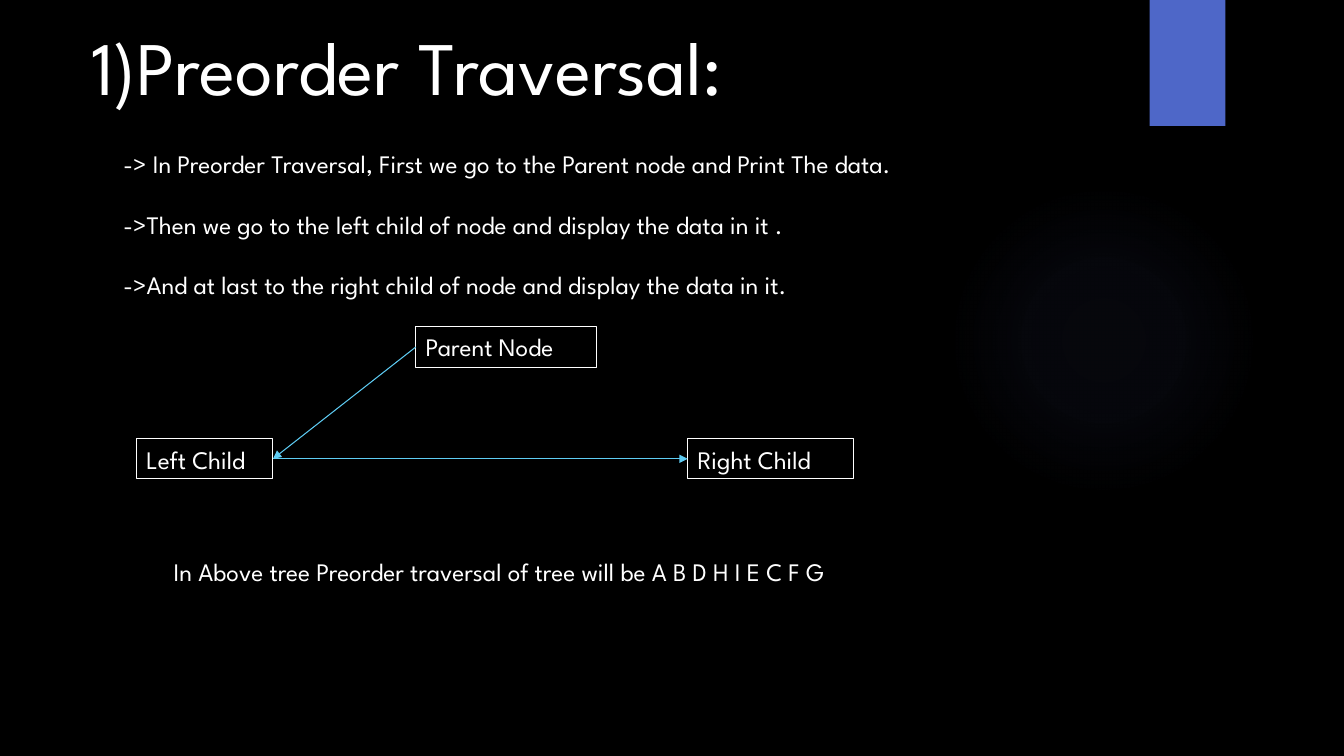
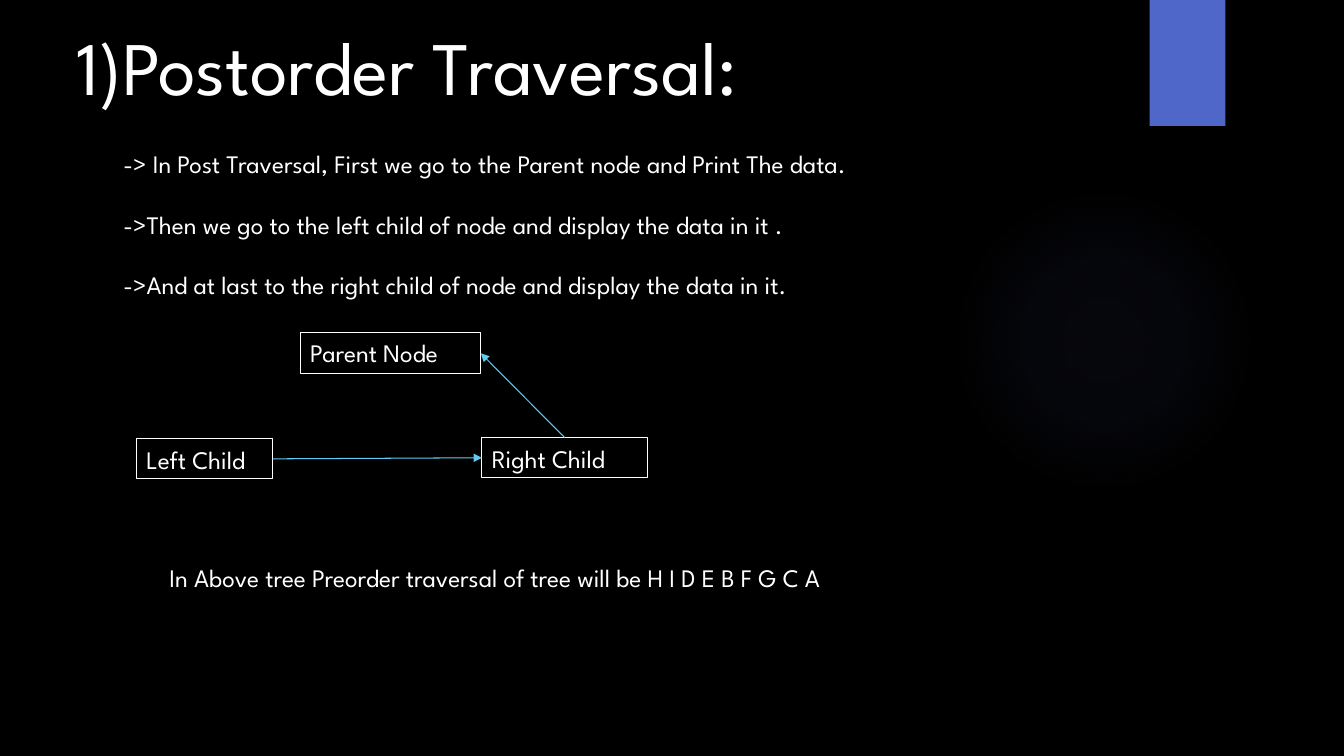
from dataclasses import dataclass
from enum import IntEnum

from lxml.etree import SubElement
from pptx import Presentation
from pptx.dml.color import RGBColor as Rgb
from pptx.enum.shapes import MSO_CONNECTOR as Conn, MSO_SHAPE as Geom
from pptx.enum.text import MSO_ANCHOR as Anchor, MSO_AUTO_SIZE as Auto, PP_ALIGN as Align
from pptx.oxml import parse_xml
from pptx.oxml.ns import nsdecls, qn
from pptx.util import Emu, Pt


@dataclass(frozen=True)
class Theme:
    font: str = "League Spartan"
    back: str = "000000"
    ink: str = "FFFFFF"
    band: str = "4E67C8"
    glow: str = "5968B0"
    arrow: str = "5ECCF3"
    head: float = 54
    body: float = 18
    gap: float = 21.6
    line: float = 0.75


@dataclass(frozen=True)
class Box:
    x: int
    y: int
    w: int
    h: int

    def emu(self) -> tuple[Emu, Emu, Emu, Emu]:
        return px(self.x), px(self.y), px(self.w), px(self.h)


class Side(IntEnum):
    """Connection sites of a rectangle."""
    TOP = 0
    LEFT = 1
    BOTTOM = 2
    RIGHT = 3


@dataclass(frozen=True)
class Node:
    name: str
    box: Box


@dataclass(frozen=True)
class Link:
    start: Node
    out: Side
    end: Node
    into: Side


@dataclass(frozen=True)
class Page:
    title: str
    first: str
    nodes: tuple[Node, ...]
    links: tuple[Link, ...]
    result: str
    spot: Box


def px(n: int) -> Emu:
    return Emu(n * 9525)


THEME = Theme()
WIDE, HIGH = 1280, 720
TITLE = Box(6, 14, 763, 97)
STEPS = Box(108, 137, 1044, 213)
BAND = Box(1095, 0, 72, 120)
GLOW = Box(903, 176, 296, 296)
FADE = ((0, 7), (36, 6), (69, 0))  # position and opacity, in percent
REST = (
    "->Then we go to the left child of node and display the data in it .",
    "->And at last to the right child of node and display the data in it.",
)


def parent(x: int, y: int) -> Node:
    return Node("Parent Node", Box(x, y, 172, 39))


def right(x: int, y: int) -> Node:
    return Node("Right Child", Box(x, y, 158, 38))


LEFT = Node("Left Child", Box(130, 418, 130, 38))
PRE_TOP, PRE_END = parent(396, 311), right(655, 418)
POST_TOP, POST_END = parent(286, 317), right(459, 417)

PAGES = (
    Page(
        "1)Preorder Traversal:",
        "-> In Preorder Traversal, First we go to the Parent node and Print The data.",
        (LEFT, PRE_TOP, PRE_END),
        (Link(PRE_TOP, Side.LEFT, LEFT, Side.RIGHT),
         Link(LEFT, Side.RIGHT, PRE_END, Side.LEFT)),
        "In Above tree Preorder traversal of tree will be A B D H I E C F G",
        Box(156, 525, 754, 38),
    ),
    Page(
        "1)Postorder Traversal:",
        "-> In Post Traversal, First we go to the Parent node and Print The data.",
        (LEFT, POST_TOP, POST_END),
        (Link(POST_END, Side.TOP, POST_TOP, Side.RIGHT),
         Link(LEFT, Side.RIGHT, POST_END, Side.LEFT)),
        "In Above tree Preorder traversal of tree will be H I D E B F G C A",
        Box(152, 531, 754, 38),
    ),
)


def style(para, size: float) -> None:
    font = para.font
    font.name, font.size = THEME.font, Pt(size)
    font.color.rgb = Rgb.from_string(THEME.ink)


def add_text(slide, box: Box, *lines: str):
    shape = slide.shapes.add_textbox(*box.emu())
    frame = shape.text_frame
    frame.word_wrap = True
    frame.text = "\n".join(lines)
    for para in frame.paragraphs:
        style(para, THEME.body)
        para.space_after = Pt(THEME.gap if len(lines) > 1 else 0)
    return shape


def add_title(slide, text: str) -> None:
    shape = slide.shapes.title
    shape.left, shape.top, shape.width, shape.height = TITLE.emu()
    frame = shape.text_frame
    frame.text = text
    frame.word_wrap, frame.auto_size = False, Auto.NONE
    frame.vertical_anchor = Anchor.MIDDLE
    para = frame.paragraphs[0]
    para.alignment = Align.CENTER
    style(para, THEME.head)


def add_node(slide, node: Node):
    shape = add_text(slide, node.box, node.name)
    shape.line.color.rgb = Rgb.from_string(THEME.ink)
    shape.line.width = Pt(THEME.line)
    return shape


def add_link(slide, link: Link, drawn: dict) -> None:
    wire = slide.shapes.add_connector(Conn.STRAIGHT, 0, 0, 0, 0)
    wire.begin_connect(drawn[link.start], link.out)
    wire.end_connect(drawn[link.end], link.into)
    wire.line.color.rgb = Rgb.from_string(THEME.arrow)
    wire.line.width = Pt(THEME.line)
    props = wire.element.spPr
    SubElement(props.find(qn("a:ln")), qn("a:tailEnd"), type="triangle")
    SubElement(props, qn("a:effectLst"))


def add_plain(slide, geom: Geom, box: Box, color: str):
    shape = slide.shapes.add_shape(geom, *box.emu())
    shape.shadow.inherit = False
    shape.fill.solid()
    shape.fill.fore_color.rgb = Rgb.from_string(color)
    shape.line.fill.background()
    return shape


def fade(shape) -> None:
    """Swap the solid fill for a round gradient that fades outwards."""
    stops = "".join(
        f'<a:gs pos="{pos * 1000}"><a:srgbClr val="{THEME.glow}">'
        f'<a:alpha val="{alpha * 1000}"/></a:srgbClr></a:gs>'
        for pos, alpha in FADE
    )
    grad = parse_xml(
        f'<a:gradFill {nsdecls("a")}><a:gsLst>{stops}</a:gsLst><a:path path="circle">'
        '<a:fillToRect l="50000" t="50000" r="50000" b="50000"/></a:path></a:gradFill>'
    )
    props = shape.element.spPr
    props.replace(props.find(qn("a:solidFill")), grad)


def dress(layout, slide) -> None:
    """Give the layout its background, glow and band, drawn by way of a slide."""
    fill = layout.background.fill
    fill.solid()
    fill.fore_color.rgb = Rgb.from_string(THEME.back)
    glow = add_plain(slide, Geom.OVAL, GLOW, THEME.glow)
    fade(glow)
    band = add_plain(slide, Geom.RECTANGLE, BAND, THEME.band)
    for shape in (glow, band):
        layout.shapes.element.append(shape.element)


def add_page(slide, page: Page) -> None:
    add_title(slide, page.title)
    add_text(slide, STEPS, page.first, *REST)
    drawn = {node: add_node(slide, node) for node in page.nodes}
    for link in page.links:
        add_link(slide, link, drawn)
    add_text(slide, page.spot, page.result)


def main() -> None:
    deck = Presentation()
    deck.slide_width, deck.slide_height = px(WIDE), px(HIGH)
    layout = deck.slide_layouts.get_by_name("Title Only")
    slides = [deck.slides.add_slide(layout) for _ in PAGES]
    dress(layout, slides[0])
    for slide, page in zip(slides, PAGES):
        add_page(slide, page)
    deck.save("out.pptx")


if __name__ == "__main__":
    main()
